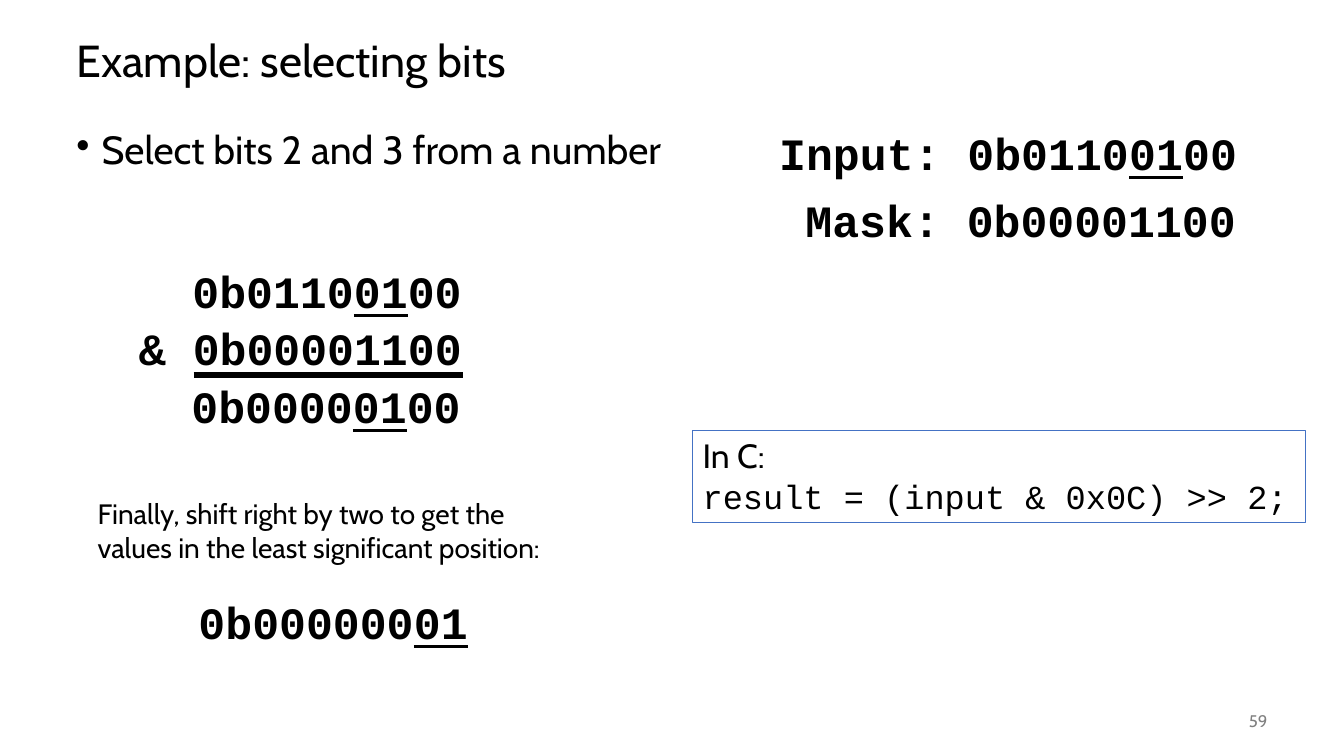
from lxml import etree
from pptx import Presentation
from pptx import util as u
from pptx.dml import color
from pptx.enum import shapes, text
from pptx.oxml import ns

SANS, MONO = "Cabin", "Courier New"
CODE = dict(name=MONO, size=32, bold=True)
UNDER = dict(underline=True)


def rgb(value):
    return color.RGBColor.from_string(value)


class Deck:
    """Hold the presentation style and the current slide."""

    def __init__(self):
        self.prs = Presentation()
        self.prs.slide_width, self.prs.slide_height = u.Inches(13.33), u.Inches(7.5)
        self.s = self.prs.slides.add_slide(self.prs.slide_layouts[6])
        self.ink = "000000"

    def paragraph(self, p, runs, font, indent=0, bullet=None, **fmt):
        pPr = p._p.get_or_add_pPr()
        if indent:
            pPr.set("marL", str(u.Inches(indent)))
        if bullet:
            pPr.set("indent", str(-u.Inches(indent)))
            etree.SubElement(pPr, ns.qn("a:buChar"), char=bullet)
        for key, value in fmt.items():
            setattr(p, key, value)
        for content, extra in runs:
            r = p.add_run()
            r.text = content
            style = {**font, **extra}
            r.font.color.rgb = rgb(style.pop("ink", self.ink))
            style["size"] = u.Pt(style["size"])
            for key, value in style.items():
                setattr(r.font, key, value)

    def fill_text(self, sp, paragraphs, anchor):
        tf = sp.text_frame
        tf.word_wrap, tf.vertical_anchor = True, anchor
        for i, item in enumerate(paragraphs):
            self.paragraph(tf.add_paragraph() if i else tf.paragraphs[0], **item)

    def text(self, box, *paragraphs, anchor=text.MSO_ANCHOR.TOP):
        sp = self.s.shapes.add_textbox(*map(u.Inches, box))
        self.fill_text(sp, paragraphs, anchor)

    def frame(self, box, line, *paragraphs):
        sp = self.s.shapes.add_shape(shapes.MSO_SHAPE.RECTANGLE, *map(u.Inches, box))
        sp.shadow.inherit = False
        sp.fill.background()
        sp.line.color.rgb, sp.line.width = rgb(line), u.Pt(0.75)
        self.fill_text(sp, paragraphs, text.MSO_ANCHOR.TOP)

    def rule(self, x1, x2, y, width):
        ln = self.s.shapes.add_connector(
            shapes.MSO_CONNECTOR.STRAIGHT, *map(u.Inches, (x1, y, x2, y)))
        ln.line.color.rgb, ln.line.width = rgb(self.ink), u.Pt(width)
        etree.SubElement(ln._element.spPr, ns.qn("a:effectLst"))


def plain(content, font, **fmt):
    return dict(runs=[(content, {})], font=font, **fmt)


def bits(before, after="00", **fmt):
    runs = [(before, {}), ("01", UNDER)] + ([(after, {})] if after else [])
    return dict(runs=runs, font=CODE, **fmt)


def sans(size, **extra):
    return dict(name=SANS, size=size, **extra)


def main():
    d = Deck()
    middle = text.MSO_ANCHOR.MIDDLE
    left, right = text.PP_ALIGN.LEFT, text.PP_ALIGN.RIGHT
    d.text((0.66, 0.25, 12, 0.75),
           plain("Example: selecting bits", sans(32), line_spacing=0.9), anchor=middle)
    d.text((0.66, 1.25, 12, 5.5),
           plain("Select bits 2 and 3 from a number", sans(28),
                 indent=0.25, bullet="•", line_spacing=0.9))
    d.text((11.67, 6.95, 1, 0.4),
           plain("59", sans(12, ink="808080"), alignment=right), anchor=middle)

    d.text((7.63, 1.2, 5.91, 0.64), bits("Input: 0b0110"))
    d.text((7.89, 1.86, 5.91, 0.64), plain("Mask: 0b00001100", CODE))

    d.text((0.28, 2.57, 5.91, 1.18), bits("0b0110", indent=1.53),
           plain("& 0b00001100", CODE, indent=1, space_before=u.Pt(2.4)))
    d.rule(1.92, 4.59, 3.72, 4.5)
    d.text((0.27, 3.71, 5.91, 0.64), bits("0b0000", indent=1.53))

    d.text((0.87, 4.88, 4.99, 1.62),
           plain("Finally, shift right by two to get the values in the "
                 "least significant position:", sans(20)),
           bits("0b000000", after="", indent=1, space_before=u.Pt(22)))
    d.frame((6.87, 4.27, 6.08, 0.91), "4472C4",
            plain("In C:", sans(24), alignment=left),
            plain("result = (input & 0x0C) >> 2;", dict(name=MONO, size=24),
                  alignment=left))
    d.prs.save("out.pptx")


if __name__ == "__main__":
    main()
